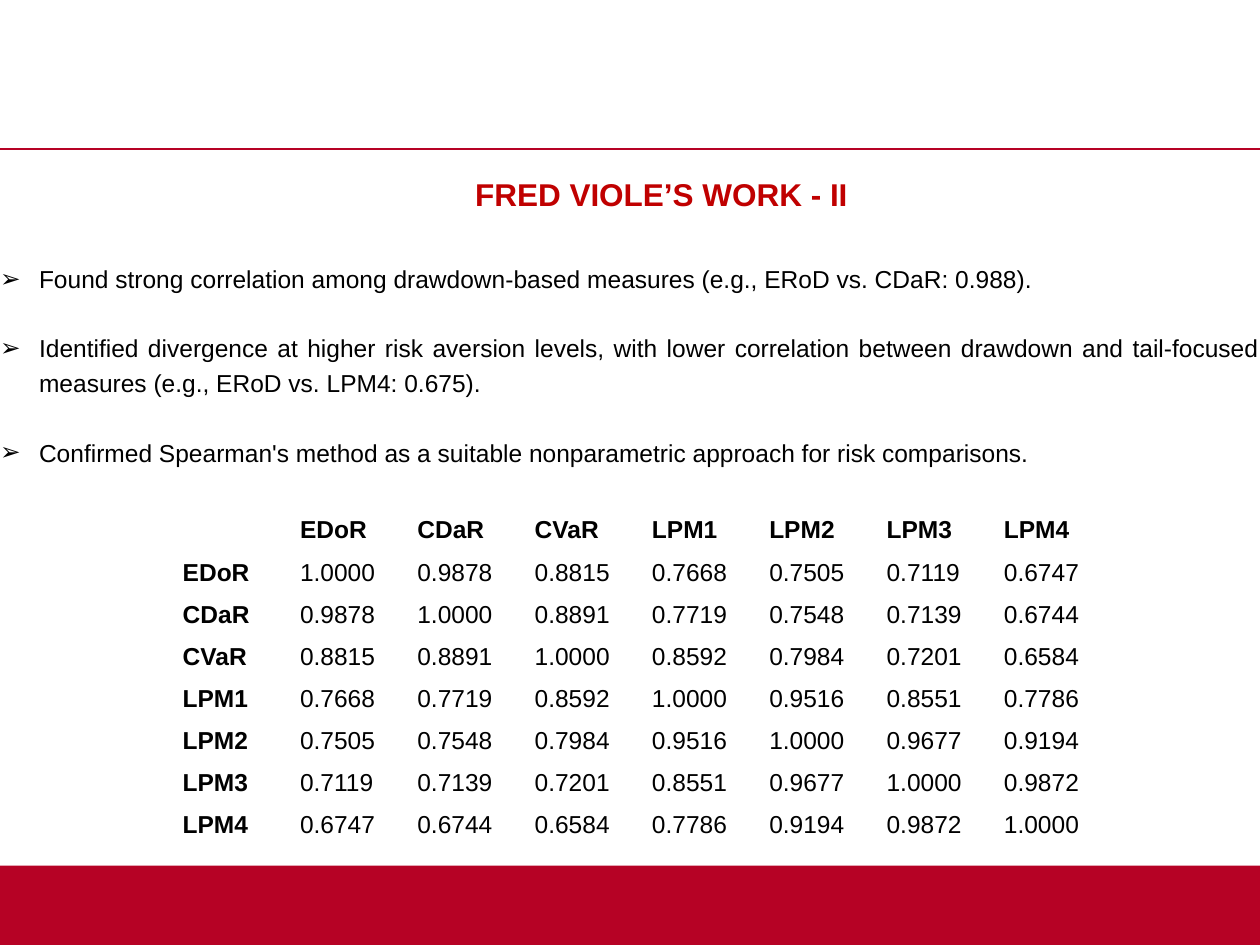
from lxml.etree import SubElement
from pptx import Presentation
from pptx.dml.color import RGBColor
from pptx.enum.shapes import MSO_CONNECTOR as Connector, MSO_SHAPE as Preset
from pptx.enum.text import MSO_ANCHOR as Anchor, MSO_AUTO_SIZE as AutoSize, PP_ALIGN as Align
from pptx.oxml.ns import qn
from pptx.util import Inches, Pt

WIDTH, HEIGHT = Inches(10), Inches(7.5)
FONT = "Arial"
BRAND_RED, TITLE_RED, BLACK = "B60225", "C00000", "000000"

FINDINGS = [
    "Found strong correlation among drawdown-based measures (e.g., ERoD vs. CDaR: 0.988).",
    "Identified divergence at higher risk aversion levels, with lower correlation between "
    "drawdown and tail-focused measures (e.g., ERoD vs. LPM4: 0.675).",
    "Confirmed Spearman's method as a suitable nonparametric approach for risk comparisons.",
]
MEASURES = ["EDoR", "CDaR", "CVaR", "LPM1", "LPM2", "LPM3", "LPM4"]
# Upper triangle of the symmetric matrix, each row starting right of the diagonal
CORRELATIONS = [
    [0.9878, 0.8815, 0.7668, 0.7505, 0.7119, 0.6747],
    [0.8891, 0.7719, 0.7548, 0.7139, 0.6744],
    [0.8592, 0.7984, 0.7201, 0.6584],
    [0.9516, 0.8551, 0.7786],
    [0.9677, 0.9194],
    [0.9872],
]


def color(value):
    return RGBColor.from_string(value)


def add_span(para, text, size, ink=BLACK, bold=False):
    span = para.add_run()
    span.text = text
    span.font.name, span.font.size, span.font.bold = FONT, Pt(size), bold
    span.font.color.rgb = color(ink)


def place(box, left, top, width, height, anchor):
    box.left, box.top = Inches(left), Inches(top)
    box.width, box.height = Inches(width), Inches(height)
    frame = box.text_frame
    frame.margin_left = frame.margin_right = frame.margin_top = frame.margin_bottom = 0
    frame.word_wrap, frame.auto_size = True, AutoSize.NONE
    frame.vertical_anchor = anchor
    return frame


def add_bullet(para, sign, indent):
    props = para._p.get_or_add_pPr()
    props.set("marL", str(indent))
    props.set("indent", str(-indent))
    ink = SubElement(props, qn("a:buClr"))
    SubElement(ink, qn("a:srgbClr"), val=BLACK)
    SubElement(props, qn("a:buFont"), typeface=FONT)
    SubElement(props, qn("a:buChar"), char=sign)


def add_frame(page):
    # Footer band
    top = Inches(6.87)
    band = page.shapes.add_shape(Preset.RECTANGLE, 0, top, WIDTH, HEIGHT - top)
    band.shadow.inherit = False
    band.fill.solid()
    band.fill.fore_color.rgb = color(BRAND_RED)
    band.line.fill.background()
    # Header rule
    level = Inches(1.18)
    rule = page.shapes.add_connector(Connector.STRAIGHT, 0, level, WIDTH, level)
    rule.line.color.rgb = color(BRAND_RED)
    rule.line.width = Pt(1)
    SubElement(rule._element.spPr, qn("a:effectLst"))


def fill_title(box, text):
    para = place(box, 0.5, 1.3, 9.5, 0.48, Anchor.MIDDLE).paragraphs[0]
    para.alignment = Align.CENTER
    add_span(para, text, 18, TITLE_RED, bold=True)


def fill_findings(box):
    frame = place(box, 0, 2.05, 10, 1.8, Anchor.TOP)
    for index, text in enumerate(FINDINGS):
        para = frame.paragraphs[0] if index == 0 else frame.add_paragraph()
        para.alignment, para.line_spacing = Align.JUSTIFY, 1.2
        para.space_before, para.space_after = Pt(0), Pt(19.3)
        add_bullet(para, "➢", Inches(0.31))
        add_span(para, text, 14)


def correlation(row, column):
    low, high = sorted((row, column))
    return 1 if low == high else CORRELATIONS[low][high - low - 1]


def add_matrix(page):
    count = len(MEASURES) + 1
    holder = page.shapes.add_table(count, count, Inches(1.35), Inches(4.04),
                                   Inches(7.45), Inches(2.67))
    table = holder.table
    table.first_row = table.horz_banding = False
    for row in range(count):
        for column in range(count):
            cell = table.cell(row, column)
            cell.fill.background()
            cell.vertical_anchor = Anchor.MIDDLE
            para = cell.text_frame.paragraphs[0]
            if row and column:
                add_span(para, f"{correlation(row - 1, column - 1):.4f}", 14)
            elif row or column:
                add_span(para, MEASURES[row + column - 1], 14, bold=True)
            else:
                para.font.size = Pt(14)
    # Plain grid without borders
    table._tbl.tblPr.find(qn("a:tableStyleId")).text = "{2D5ABB26-0587-4C30-8999-92F81FD0307C}"


def main():
    deck = Presentation()
    deck.slide_width, deck.slide_height = WIDTH, HEIGHT
    page = deck.slides.add_slide(deck.slide_layouts[1])
    add_frame(page)
    fill_title(page.shapes.title, "FRED VIOLE’S WORK - II")
    fill_findings(page.placeholders[1])
    add_matrix(page)
    deck.save("out.pptx")


if __name__ == "__main__":
    main()
